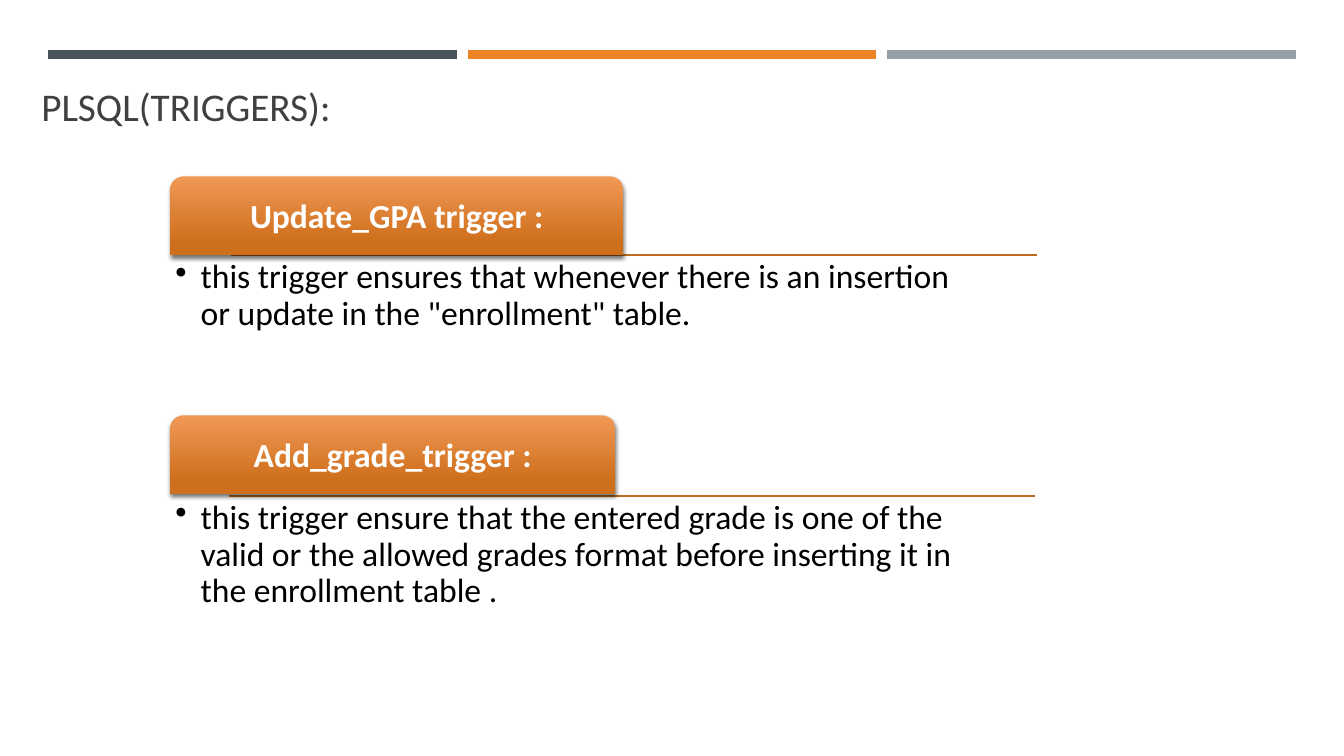
from lxml.etree import SubElement
from pptx import Presentation
from pptx.dml.color import RGBColor
from pptx.enum.shapes import MSO_CONNECTOR as Conn, MSO_SHAPE as Kind
from pptx.enum.text import MSO_ANCHOR as Anchor, PP_ALIGN as Align
from pptx.oxml.ns import qn
from pptx.util import Pt

PX = 9144  # 100 px to the inch
TOP_BARS = ["465359", "ED8428", "969FA7"]
# top, tab left, tab width, rule left, rule top, heading, detail
TRIGGERS = [
    (175, 169, 449, 229, 253, "Update_GPA trigger :",
     'this trigger ensures that whenever there is an insertion or update in the "enrollment" table.'),
    (412, 169, 441, 227, 492, "Add_grade_trigger :",
     "this trigger ensure that the entered grade is one of the valid or the allowed grades "
     "format before inserting it in the enrollment table ."),
]


def px(*sizes):
    return [size * PX for size in sizes]


def color(code):
    return RGBColor.from_string(code)


def write(frame, text, size=24, hue="000000", bold=False, align=Align.LEFT,
          anchor=Anchor.TOP, inset=5, spacing=0.9, bullet=False):
    frame.word_wrap = True
    frame.vertical_anchor = anchor
    if inset is not None:
        frame.margin_left = frame.margin_right = inset * PX
        frame.margin_top = frame.margin_bottom = inset * PX
    para = frame.paragraphs[0]
    para.text = text
    para.alignment = align
    para.line_spacing = spacing
    if bullet:
        props = para._p.get_or_add_pPr()
        props.set("marL", str(25 * PX))
        props.set("indent", str(-25 * PX))
        SubElement(props, qn("a:buChar"), char="•")
    font = para.font
    font.name, font.size, font.bold = "Calibri", Pt(size), bold
    font.color.rgb = color(hue)


def rule(slide, left, top, width, hue, weight):
    line = slide.shapes.add_connector(Conn.STRAIGHT, *px(left, top, left + width, top))
    line.line.color.rgb = color(hue)
    line.line.width = Pt(weight)
    SubElement(line._element.spPr, qn("a:effectLst"))


def shade(shape):
    """Give the shape a soft shadow straight below it."""
    shape.shadow.inherit = False
    effects = shape._element.spPr.find(qn("a:effectLst"))
    outer = SubElement(effects, qn("a:outerShdw"), blurRad=str(Pt(3)), dist=str(Pt(2)),
                       dir="5400000", algn="ctr", rotWithShape="0")
    tint = SubElement(outer, qn("a:srgbClr"), val="000000")
    SubElement(tint, qn("a:alpha"), val="55000")


def tab(slide, left, top, width, text):
    shape = slide.shapes.add_shape(Kind.ROUND_2_SAME_RECTANGLE, *px(left, top, width, 78))
    shape.adjustments[0] = 0.167
    shape.adjustments[1] = 0
    shape.line.fill.background()
    fill = shape.fill
    fill.gradient()
    fill.gradient_angle = 270
    for stop, place, hue in zip(fill.gradient_stops, (0, 0.84), ("F09856", "CE6F1B")):
        stop.position = place
        stop.color.rgb = color(hue)
    shade(shape)
    write(shape.text_frame, text, hue="FFFFFF", bold=True,
          align=Align.CENTER, anchor=Anchor.MIDDLE)


def detail(slide, left, top, text):
    box = slide.shapes.add_textbox(*px(left, top, 800, 156))
    write(box.text_frame, text, bullet=True)


def main():
    deck = Presentation()
    deck.slide_width, deck.slide_height = px(1333, 750)
    slide = deck.slides.add_slide(deck.slide_layouts[5])

    for i, hue in enumerate(TOP_BARS):
        rule(slide, 48 + 416 * i, 54, 405, hue, 6.5)

    title = slide.shapes.title
    title.left, title.top, title.width, title.height = px(31, 68, 450, 65)
    write(title.text_frame, "PLSQL(TRIGGERS):", size=28, hue="404040",
          anchor=Anchor.BOTTOM, inset=None, spacing=1.0)

    for top, left, width, start, base, head, text in TRIGGERS:
        rule(slide, start, base, 800, "BE6A20", 1.75)
        tab(slide, left, top, width, head)
        detail(slide, left, base, text)

    deck.save("out.pptx")


if __name__ == "__main__":
    main()
